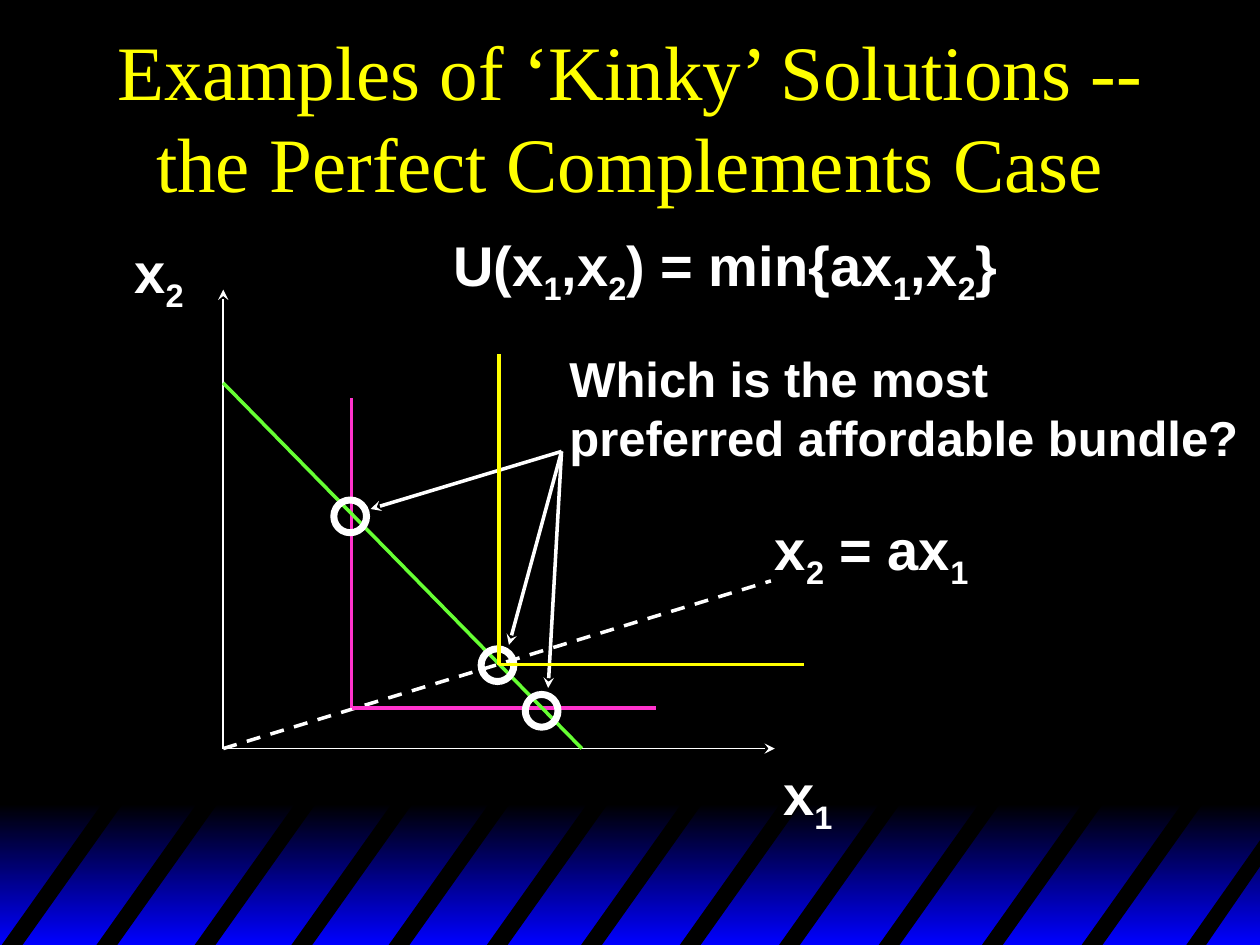
from dataclasses import dataclass
from itertools import groupby

from lxml.etree import SubElement
from pptx import Presentation
from pptx.dml.color import RGBColor
from pptx.enum.dml import MSO_LINE
from pptx.enum.shapes import MSO_CONNECTOR, MSO_SHAPE
from pptx.enum.text import MSO_ANCHOR, PP_ALIGN
from pptx.oxml.ns import qn
from pptx.util import Cm, Pt


@dataclass(frozen=True)
class Theme:
    black: RGBColor = RGBColor(0x00, 0x00, 0x00)
    blue: RGBColor = RGBColor(0x00, 0x00, 0xFF)
    white: RGBColor = RGBColor(0xFF, 0xFF, 0xFF)
    yellow: RGBColor = RGBColor(0xFF, 0xFF, 0x00)
    pink: RGBColor = RGBColor(0xFF, 0x33, 0xCC)
    green: RGBColor = RGBColor(0x66, 0xFF, 0x33)
    title_font: str = "Times New Roman"
    body_font: str = "Arial"
    title_size: int = 44
    formula_size: int = 32
    question_size: int = 28


class SlideBuilder:
    def __init__(self, slide, theme):
        self.slide = slide
        self.theme = theme
        background = slide.background.fill
        background.solid()
        background.fore_color.rgb = theme.black

    def gradient_band(self, left, top, width, height):
        shape = self.slide.shapes.add_shape(
            MSO_SHAPE.RECTANGLE, Cm(left), Cm(top), Cm(width), Cm(height))
        shape.shadow.inherit = False
        shape.line.fill.background()
        shape.fill.gradient()
        shape.fill.gradient_angle = 270
        stops = zip(shape.fill.gradient_stops, (0, 1), (self.theme.black, self.theme.blue))
        for stop, position, color in stops:
            stop.position = position
            stop.color.rgb = color

    def polygon(self, points):
        corners = [(Cm(x), Cm(y)) for x, y in points]
        builder = self.slide.shapes.build_freeform(*corners[0])
        builder.add_line_segments(corners[1:], close=True)
        shape = builder.convert_to_shape()
        shape.shadow.inherit = False
        shape.fill.solid()
        shape.fill.fore_color.rgb = self.theme.black
        shape.line.fill.background()

    def line(self, start, end, color, width=2, arrow=False, dashed=False):
        connector = self.slide.shapes.add_connector(
            MSO_CONNECTOR.STRAIGHT, *(Cm(value) for value in (*start, *end)))
        connector.line.color.rgb = color
        connector.line.width = Pt(width)
        if dashed:
            connector.line.dash_style = MSO_LINE.DASH
        properties = connector._element.spPr
        if arrow:
            SubElement(properties.find(qn("a:ln")), qn("a:tailEnd"), type="stealth")
        SubElement(properties, qn("a:effectLst"))

    def ring(self, left, top, diameter=0.66):
        shape = self.slide.shapes.add_shape(
            MSO_SHAPE.OVAL, Cm(left), Cm(top), Cm(diameter), Cm(diameter))
        shape.shadow.inherit = False
        shape.fill.background()
        shape.line.color.rgb = self.theme.white
        shape.line.width = Pt(4)

    def text_box(self, left, top, width, height, wrap=False):
        box = self.slide.shapes.add_textbox(Cm(left), Cm(top), Cm(width), Cm(height))
        box.text_frame.word_wrap = wrap
        return box.text_frame

    def style_run(self, run, size, color, font, bold):
        run.font.size = Pt(size)
        run.font.color.rgb = color
        run.font.name = font
        run.font.bold = bold

    def title(self, text, left, top, width, height):
        text_frame = self.text_box(left, top, width, height, wrap=True)
        text_frame.vertical_anchor = MSO_ANCHOR.MIDDLE
        text_frame.text = text
        paragraph = text_frame.paragraphs[0]
        paragraph.alignment = PP_ALIGN.CENTER
        theme = self.theme
        self.style_run(paragraph.runs[0], theme.title_size, theme.yellow, theme.title_font, False)

    def formula(self, text, left, top, width, height=1.6):
        paragraph = self.text_box(left, top, width, height).paragraphs[0]
        theme = self.theme
        for is_subscript, letters in groupby(text, str.isdigit):
            run = paragraph.add_run()
            run.text = "".join(letters)
            self.style_run(run, theme.formula_size, theme.white, theme.body_font, True)
            if is_subscript:
                run.font._element.set("baseline", "-25000")

    def question(self, text, left, top, width, height):
        text_frame = self.text_box(left, top, width, height)
        text_frame.text = text
        theme = self.theme
        for run in text_frame.paragraphs[0].runs:
            self.style_run(run, theme.question_size, theme.white, theme.body_font, True)


def draw_backdrop(builder):
    builder.gradient_band(0, 16.2, 25.4, 2.85)
    top, bottom, slant, thickness = 16.1, 19.1, 2.13, 0.42
    stripe_lefts = (0, 1.91, 3.89, 5.84, 7.8, 9.78, 11.68, 13.67, 15.67, 17.68, 19.76, 21.77)
    for left in stripe_lefts:
        builder.polygon([(left, bottom), (left + slant, top),
                         (left + slant + thickness, top), (left + thickness, bottom)])
    builder.polygon([(23.88, bottom), (25.45, 16.87), (25.45, 17.4), (24.28, bottom)])


def draw_diagram(builder):
    theme = builder.theme
    origin = (4.5, 15.09)
    builder.line(origin, (4.5, 5.84), theme.white, 1, arrow=True)
    builder.line(origin, (15.62, 15.09), theme.white, 1, arrow=True)
    builder.formula("x1", 15.54, 15.19, 1.55)
    builder.formula("x2", 2.46, 4.67, 1.55)
    builder.line(origin, (15.54, 11.71), theme.white, dashed=True)

    lower_kink = (7.09, 14.27)
    builder.line((7.09, 8.03), lower_kink, theme.pink)
    builder.line(lower_kink, (13.23, 14.27), theme.pink)

    builder.formula("U(x1,x2) = min{ax1,x2}", 8.89, 4.52, 11.66)
    builder.formula("x2 = ax1", 15.37, 10.24, 4.5)
    builder.line((4.5, 7.72), (11.73, 15.09), theme.green)

    for left, top in ((6.73, 10.08), (9.7, 13.08), (10.59, 14)):
        builder.ring(left, top)

    builder.question("Which is the most\vpreferred affordable bundle?", 11.23, 6.91, 14.02, 2.62)
    for target in ((7.47, 10.26), (11.05, 13.87), (10.26, 13)):
        builder.line((11.32, 9.1), target, theme.white, arrow=True)

    upper_kink = (10.05, 13.4)
    builder.line(upper_kink, (16.21, 13.4), theme.yellow)
    builder.line(upper_kink, (10.05, 7.14), theme.yellow, 2.25)


def main():
    presentation = Presentation()
    presentation.slide_width = Cm(25.4)
    presentation.slide_height = Cm(19.05)
    slide = presentation.slides.add_slide(presentation.slide_layouts[6])
    builder = SlideBuilder(slide, Theme())
    draw_backdrop(builder)
    builder.title("Examples of ‘Kinky’ Solutions -- the Perfect Complements Case",
                  1.91, 0.64, 21.59, 3.38)
    draw_diagram(builder)
    presentation.save("out.pptx")


if __name__ == "__main__":
    main()
